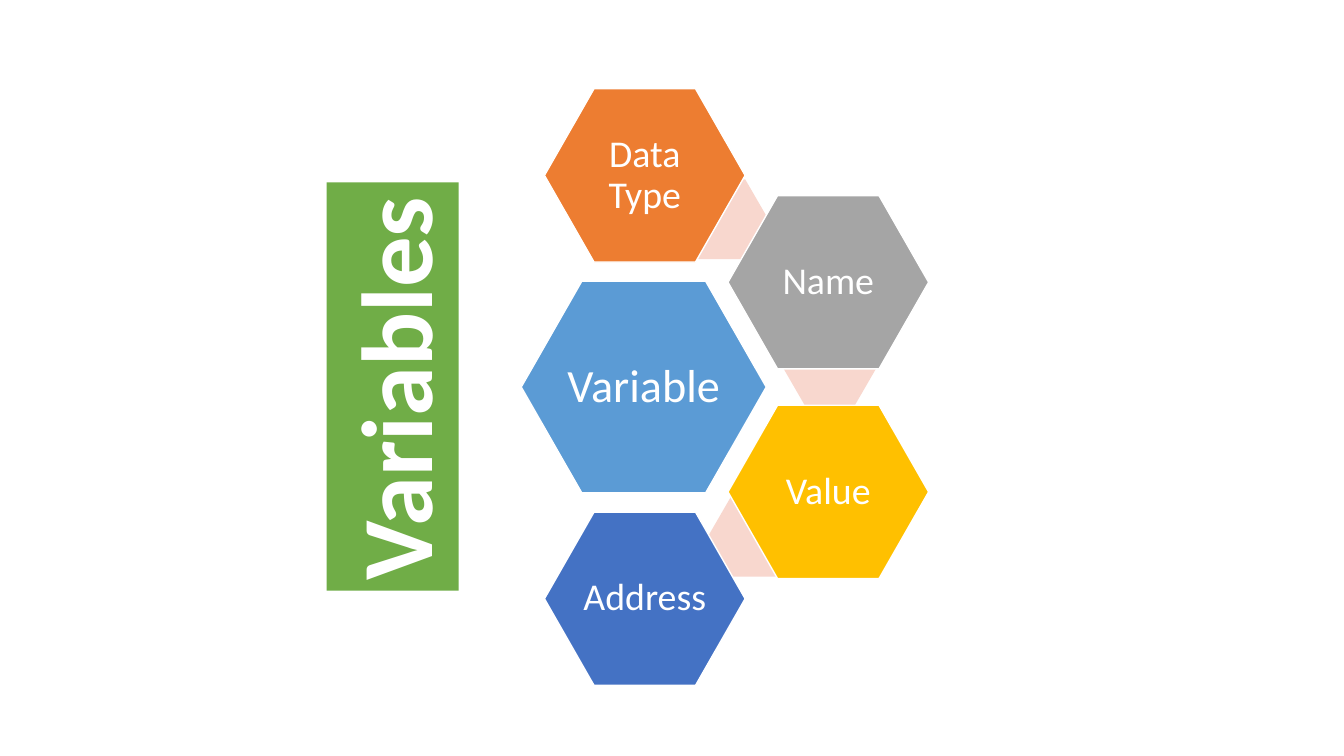
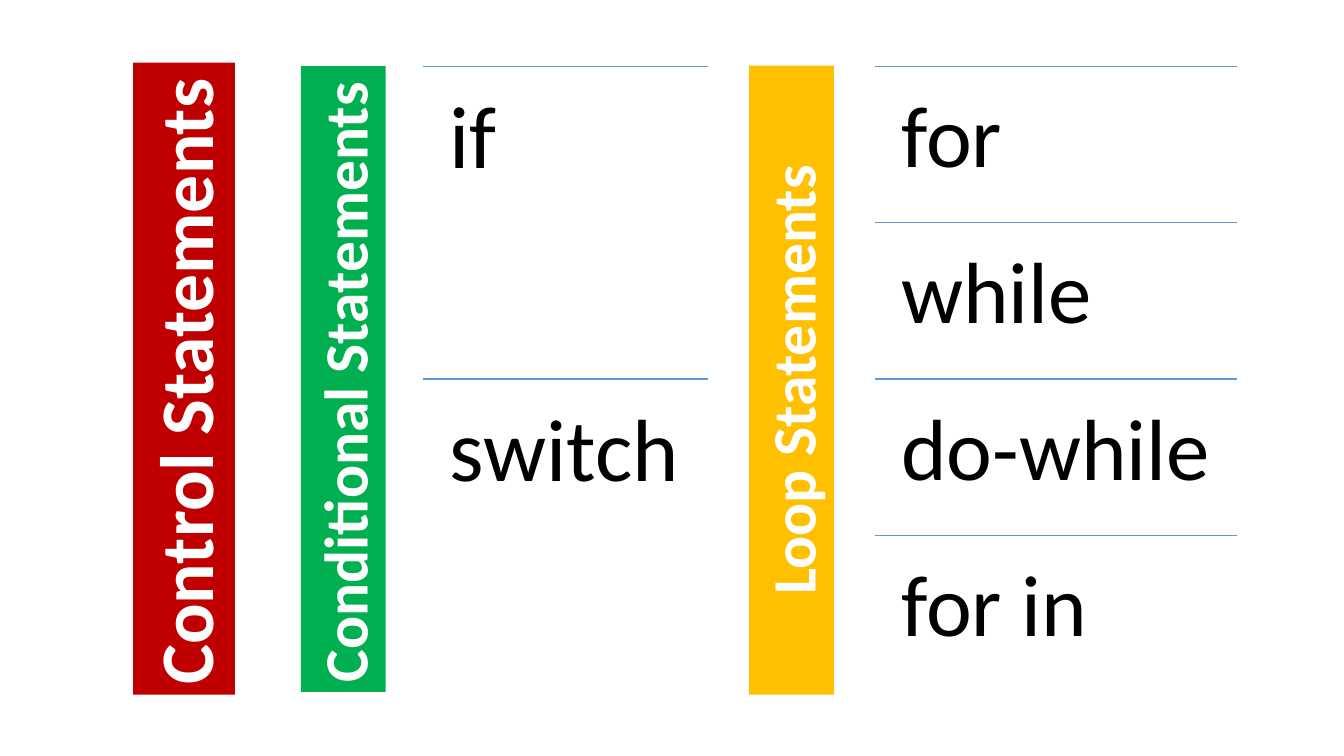
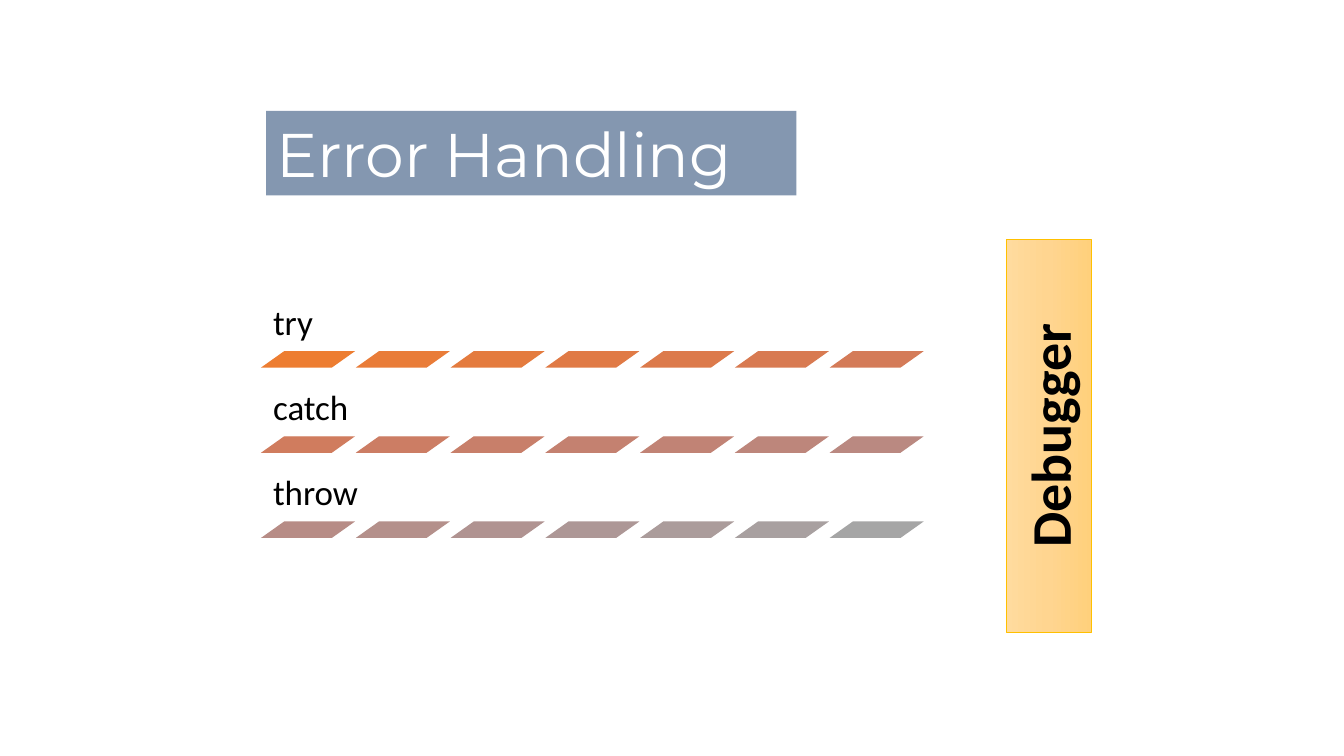
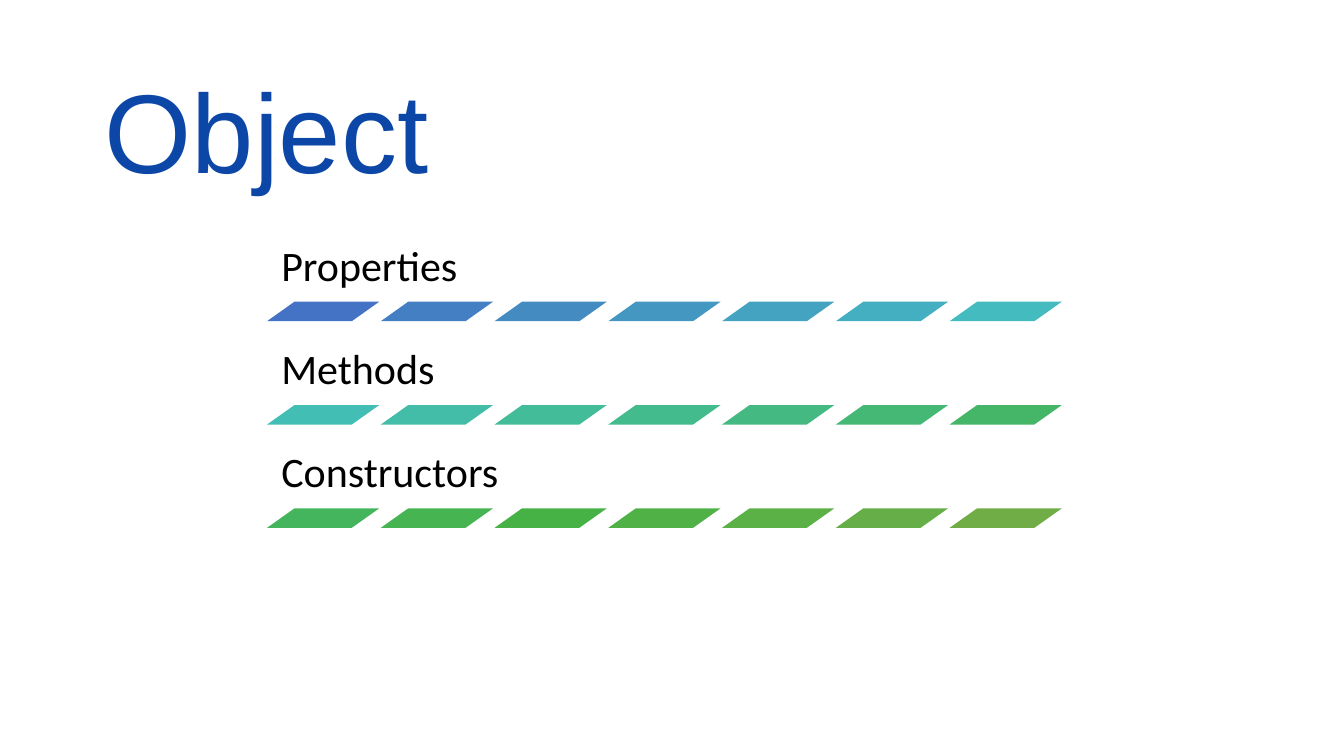
from colorsys import hls_to_rgb, rgb_to_hls
from copy import deepcopy
from dataclasses import dataclass

from pptx import Presentation
from pptx.dml.color import RGBColor
from pptx.enum.shapes import MSO_CONNECTOR, MSO_SHAPE
from pptx.enum.text import MSO_ANCHOR, MSO_AUTO_SIZE, PP_ALIGN
from pptx.oxml.ns import qn
from pptx.oxml.xmlchemy import OxmlElement
from pptx.shapes.autoshape import Shape
from pptx.slide import Slide
from pptx.text.text import TextFrame
from pptx.util import Inches, Pt

HEXAGON = MSO_SHAPE.HEXAGON
PARALLELOGRAM = MSO_SHAPE.PARALLELOGRAM
STRAIGHT = MSO_CONNECTOR.STRAIGHT
LEFT, CENTER = PP_ALIGN.LEFT, PP_ALIGN.CENTER
TOP, MIDDLE, BOTTOM = MSO_ANCHOR.TOP, MSO_ANCHOR.MIDDLE, MSO_ANCHOR.BOTTOM
GROW = MSO_AUTO_SIZE.SHAPE_TO_FIT_TEXT

COLORS = {
    "white": "FFFFFF",
    "black": "000000",
    "blue": "5B9BD5",
    "royal": "4472C4",
    "orange": "ED7D31",
    "gray": "A5A5A5",
    "gold": "FFC000",
    "green": "70AD47",
    "emerald": "00B050",
    "red": "C00000",
    "slate": "8497B0",
    "navy": "0C47A8",
    "blush": "F8D7CE",
}
DEBUGGER_GRADIENT = ((0, "FFDB9E"), (0.5, "FFD590"), (1, "FFD07C"))
BARS_PER_ROW = 7


@dataclass(frozen=True)
class Box:
    left: float
    top: float
    width: float
    height: float

    def emu(self) -> tuple[int, int, int, int]:
        return (Inches(self.left), Inches(self.top),
                Inches(self.width), Inches(self.height))


@dataclass(frozen=True)
class TextStyle:
    size: float
    color: str = "white"
    font: str = "Calibri"
    bold: bool = False
    align: PP_ALIGN = LEFT
    spacing: float = 1


@dataclass(frozen=True)
class Banner:
    text: str
    box: Box
    style: TextStyle
    fill: str
    rotation: int = 270
    wrap: bool = False


@dataclass(frozen=True)
class Cell:
    text: str
    box: Box
    fill: str
    size: float = 27


@dataclass(frozen=True)
class RuledList:
    items: tuple[str, ...]
    box: Box
    size: float


@dataclass(frozen=True)
class BarList:
    items: tuple[str, ...]
    label: Box
    label_inset: float
    size: float
    first_bar: Box
    bar_span: float
    row_span: float
    start: str
    end: str


def rgb(color: str) -> RGBColor:
    return RGBColor.from_string(COLORS.get(color, color))


def blend(start: str, end: str, share: float) -> str:
    first, last = (rgb_to_hls(*(part / 255 for part in rgb(color)))
                   for color in (start, end))
    mixed = (a + (b - a) * share for a, b in zip(first, last))
    return "".join(f"{round(part * 255):02X}" for part in hls_to_rgb(*mixed))


def write(frame: TextFrame, text: str, style: TextStyle) -> None:
    paragraph = frame.paragraphs[0]
    paragraph.alignment = style.align
    paragraph.line_spacing = style.spacing
    run = paragraph.add_run()
    run.text = text
    run.font.name = style.font
    run.font.size = Pt(style.size)
    run.font.bold = style.bold
    run.font.color.rgb = rgb(style.color)


def set_insets(frame: TextFrame, inset: float) -> None:
    frame.margin_left = frame.margin_right = Inches(inset)
    frame.margin_top = frame.margin_bottom = Inches(inset)


def add_label(slide: Slide, text: str, box: Box, style: TextStyle,
              inset: float, anchor: MSO_ANCHOR) -> None:
    frame = slide.shapes.add_textbox(*box.emu()).text_frame
    frame.word_wrap = True
    frame.vertical_anchor = anchor
    set_insets(frame, inset)
    write(frame, text, style)


def add_banner(slide: Slide, banner: Banner) -> Shape:
    shape = slide.shapes.add_textbox(*banner.box.emu())
    shape.rotation = banner.rotation
    shape.fill.solid()
    shape.fill.fore_color.rgb = rgb(banner.fill)
    frame = shape.text_frame
    frame.word_wrap = banner.wrap
    frame.auto_size = GROW
    write(frame, banner.text, banner.style)
    return shape


def add_figure(slide: Slide, preset: MSO_SHAPE, box: Box, fill: str,
               line: str | None, adjustment: float) -> Shape:
    shape = slide.shapes.add_shape(preset, *box.emu())
    shape.shadow.inherit = False
    shape.adjustments[0] = adjustment
    shape.fill.solid()
    shape.fill.fore_color.rgb = rgb(fill)
    if line is None:
        shape.line.fill.background()
    else:
        shape.line.color.rgb = rgb(line)
        shape.line.width = Pt(1)
        miter = OxmlElement("a:miter")
        miter.set("lim", "800000")
        shape.line._get_or_add_ln().append(miter)
    return shape


def add_cell(slide: Slide, cell: Cell) -> None:
    shape = add_figure(slide, HEXAGON, cell.box, cell.fill, "white", 0.286)
    frame = shape.text_frame
    frame.word_wrap = True
    frame.vertical_anchor = MIDDLE
    set_insets(frame, 0)
    write(frame, cell.text, TextStyle(cell.size, align=CENTER, spacing=0.9))


def add_rule(slide: Slide, left: float, top: float, width: float) -> None:
    rule = slide.shapes.add_connector(
        STRAIGHT, Inches(left), Inches(top), Inches(left + width), Inches(top))
    rule.line.color.rgb = rgb("blue")
    rule.line.width = Pt(1)
    rule._element.spPr.append(OxmlElement("a:effectLst"))


def add_ruled_list(slide: Slide, ruled: RuledList) -> None:
    box = ruled.box
    row_height = box.height / len(ruled.items)
    style = TextStyle(ruled.size, "black", spacing=0.9)
    for row, item in enumerate(ruled.items):
        top = box.top + row * row_height
        add_rule(slide, box.left, top, box.width)
        add_label(slide, item, Box(box.left, top, box.width, row_height),
                  style, 0.26, TOP)


def add_bar_list(slide: Slide, bars: BarList) -> None:
    label, bar = bars.label, bars.first_bar
    bar_step = bars.bar_span / (BARS_PER_ROW - 1)
    row_step = bars.row_span / (len(bars.items) - 1)
    last = len(bars.items) * BARS_PER_ROW - 1
    style = TextStyle(bars.size, "black", spacing=0.9)
    for row, item in enumerate(bars.items):
        drop = row * row_step
        add_label(slide, item,
                  Box(label.left, label.top + drop, label.width, label.height),
                  style, bars.label_inset, BOTTOM)
        for column in range(BARS_PER_ROW):
            color = blend(bars.start, bars.end,
                          (row * BARS_PER_ROW + column) / last)
            place = Box(bar.left + column * bar_step, bar.top + drop,
                        bar.width, bar.height)
            add_figure(slide, PARALLELOGRAM, place, color, color, 1.408)


def build_variables(slide: Slide) -> None:
    add_banner(slide, Banner("Variables", Box(1.87, 3.18, 4.05, 1.31),
                             TextStyle(72, bold=True), "green"))
    for left, top in ((6.7, 1.78), (7.77, 3.26), (7.02, 4.93)):
        add_figure(slide, HEXAGON, Box(left, top, 0.92, 0.79),
                   "blush", None, 0.289)
    add_cell(slide, Cell("Variable", Box(5.17, 2.79, 2.43, 2.1), "blue", 33))
    for text, left, top, fill in (("Data Type", 5.4, 0.88, "orange"),
                                  ("Name", 7.22, 1.94, "gray"),
                                  ("Value", 7.22, 4.02, "gold"),
                                  ("Address", 5.4, 5.08, "royal")):
        add_cell(slide, Cell(text, Box(left, top, 1.99, 1.72), fill))


def build_control_statements(slide: Slide) -> None:
    branch = TextStyle(44, bold=True)
    loop = TextStyle(44, bold=True, align=CENTER)
    for banner in (
        Banner("Control Statements", Box(-1.31, 3.25, 6.27, 1.01),
               TextStyle(54, bold=True), "red"),
        Banner("Conditional Statements", Box(0.3, 3.34, 6.21, 0.84),
               branch, "emerald"),
        Banner("Loop Statements", Box(4.73, 3.35, 6.24, 0.84),
               loop, "gold", wrap=True),
    ):
        add_banner(slide, banner)
    add_ruled_list(slide, RuledList(("if", "switch"),
                                    Box(4.2, 0.66, 2.82, 6.2), 63))
    add_ruled_list(slide, RuledList(("for", "while", "do-while", "for in"),
                                    Box(8.68, 0.66, 3.59, 6.2), 62))


def build_error_handling(slide: Slide) -> None:
    add_bar_list(slide, BarList(
        ("try", "catch", "throw"), Box(2.61, 2.89, 6.66, 0.61), 0.1, 25,
        Box(2.61, 3.49, 0.89, 0.15), 5.64, 1.69, "orange", "gray"))
    add_banner(slide, Banner("Error Handling", Box(2.64, 1.1, 5.26, 0.84),
                             TextStyle(44, font="Montserrat"), "slate",
                             rotation=0, wrap=True))
    debugger = add_banner(slide, Banner(
        "Debugger", Box(8.45, 3.9, 3.9, 0.84),
        TextStyle(40, "black", bold=True, align=CENTER), "gold", wrap=True))
    debugger.text_frame.auto_size = MSO_AUTO_SIZE.NONE
    debugger.text_frame.vertical_anchor = MIDDLE
    debugger.line.color.rgb = rgb("gold")
    debugger.line.width = Pt(0.5)
    debugger.fill.gradient()
    debugger.fill.gradient_angle = 270
    stop_list = debugger._element.spPr.find(f".//{qn('a:gsLst')}")
    stop_list.insert(1, deepcopy(stop_list[0]))
    for stop, (position, color) in zip(debugger.fill.gradient_stops,
                                       DEBUGGER_GRADIENT):
        stop.position = position
        stop.color.rgb = rgb(color)


def build_object(slide: Slide) -> None:
    add_banner(slide, Banner("Object", Box(0.94, 0.56, 5.88, 1.45),
                             TextStyle(80, "navy", "Arial"), "white",
                             rotation=0, wrap=True))
    add_bar_list(slide, BarList(
        ("Properties", "Methods", "Constructors"),
        Box(2.67, 2.27, 8, 0.73), 0.12, 30,
        Box(2.67, 3, 1.07, 0.18), 6.77, 2.05, "royal", "green"))


def main() -> None:
    deck = Presentation()
    deck.slide_width = Inches(13.33)
    deck.slide_height = Inches(7.5)
    blank = deck.slide_layouts[6]
    for build in (build_variables, build_control_statements,
                  build_error_handling, build_object):
        build(deck.slides.add_slide(blank))
    deck.save("out.pptx")


if __name__ == "__main__":
    main()
